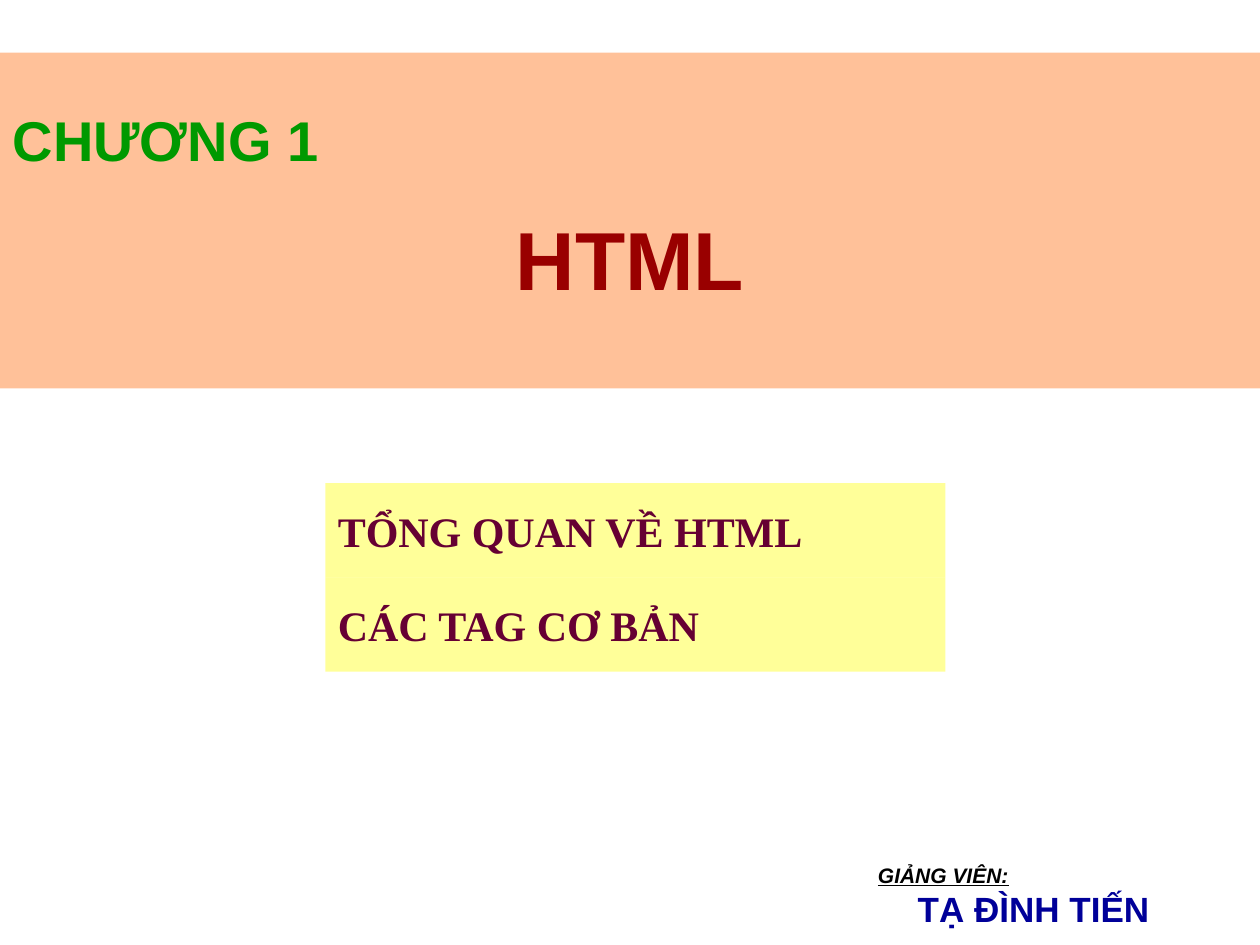
"""Build the opening slide of the HTML chapter."""
from lxml.etree import SubElement
from pptx import Presentation
from pptx.dml.color import RGBColor
from pptx.enum.shapes import MSO_SHAPE as Shape
from pptx.enum.text import MSO_ANCHOR as Anchor, MSO_AUTO_SIZE as AutoSize, PP_ALIGN as Align
from pptx.oxml.ns import qn
from pptx.util import Cm, Pt

ORANGE = RGBColor(0xFF, 0x66, 0x00)
YELLOW = RGBColor(0xFF, 0xFF, 0x00)
GREEN = RGBColor(0x00, 0x99, 0x00)
RED = RGBColor(0x99, 0x00, 0x00)
PLUM = RGBColor(0x66, 0x00, 0x33)
BLACK = RGBColor(0x00, 0x00, 0x00)
NAVY = RGBColor(0x00, 0x00, 0x99)


def write(para, text, size, color, font="Arial", italic=False, underline=False,
          align=Align.LEFT, before=0, indent=0):
    para.alignment = align
    para.space_before = Pt(before)
    if indent:
        para._p.get_or_add_pPr().set("marL", str(Cm(indent)))
    span = para.add_run()
    span.text = text
    span.font.name = font
    span.font.size = Pt(size)
    span.font.bold = True
    span.font.italic = italic
    span.font.underline = underline
    span.font.color.rgb = color


class ChapterSlide:
    def __init__(self, deck, opacity=40):
        self.page = deck.slides.add_slide(deck.slide_layouts[5])
        self.opacity = opacity

    def place(self, box, left, top, width, height):
        box.left, box.top, box.width, box.height = map(Cm, (left, top, width, height))

    def fill_text(self, box, lines, anchor=Anchor.TOP, wrap=True, inset_top=0.13):
        frame = box.text_frame
        frame.auto_size = AutoSize.NONE
        frame.word_wrap = wrap
        frame.vertical_anchor = anchor
        frame.margin_top = Cm(inset_top)
        for index, line in enumerate(lines):
            write(frame.add_paragraph() if index else frame.paragraphs[0], **line)

    def band(self, left, top, width, height, color):
        box = self.page.shapes.add_shape(
            Shape.RECTANGLE, *map(Cm, (left, top, width, height)))
        box.shadow.inherit = False
        box.line.fill.background()
        box.fill.solid()
        box.fill.fore_color.rgb = color
        tint = next(box.element.iter(qn("a:srgbClr")))
        SubElement(tint, qn("a:alpha"), val=str(self.opacity * 1000))
        return box

    def title(self, left, top, width, height, lines):
        box = self.page.shapes.title
        self.place(box, left, top, width, height)
        self.fill_text(box, lines, inset_top=0.25)
        self.page.shapes.element.append(box.element)

    def label(self, left, top, width, height, lines):
        box = self.page.shapes.add_textbox(*map(Cm, (left, top, width, height)))
        self.fill_text(box, lines, wrap=False, inset_top=0.5)

    def topics(self, left, top, width, height, names):
        for row, name in enumerate(names):
            box = self.band(left, top + row * height, width, height, YELLOW)
            line = dict(text=name, size=24, color=PLUM, font="Times New Roman")
            self.fill_text(box, [line], anchor=Anchor.MIDDLE)


def main():
    deck = Presentation()
    deck.slide_width, deck.slide_height = Cm(25.4), Cm(19.05)
    slide = ChapterSlide(deck)
    slide.band(0, 1.06, 25.4, 6.77, ORANGE)
    slide.title(0, 1.88, 25.4, 4.19, [
        dict(text="CHƯƠNG 1", size=32, color=GREEN),
        dict(text="HTML", size=47, color=RED, align=Align.CENTER, before=20),
    ])
    slide.label(17.45, 16.89, 5.97, 1.96, [
        dict(text="GIẢNG VIÊN:", size=12, color=BLACK, italic=True, underline=True),
        dict(text="TẠ ĐÌNH TIẾN", size=20, color=NAVY, indent=0.8),
    ])
    slide.topics(6.56, 9.74, 12.5, 1.9, ["TỔNG QUAN VỀ HTML", "CÁC TAG CƠ BẢN"])
    deck.save("out.pptx")


if __name__ == "__main__":
    main()
